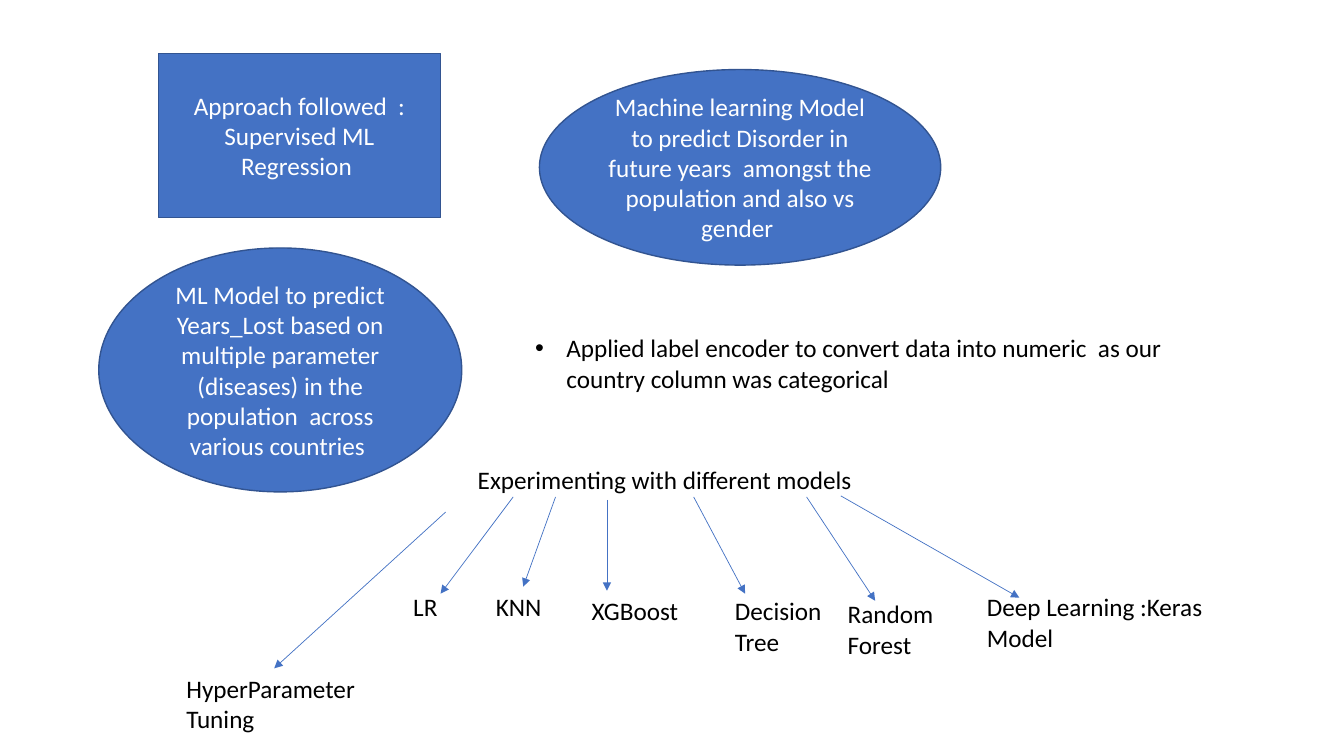
from lxml.etree import SubElement
from pptx import Presentation
from pptx.dml.color import RGBColor
from pptx.enum.shapes import MSO_CONNECTOR, MSO_SHAPE
from pptx.enum.text import MSO_ANCHOR, PP_ALIGN
from pptx.oxml.ns import qn
from pptx.util import Inches, Pt

BLUE, OUTLINE, WHITE, BLACK = "4472C4", "325491", "FFFFFF", "000000"

GOALS = [
    (MSO_SHAPE.OVAL, (0.98, 2.46, 3.6, 2.42),
     ["ML Model to predict Years_Lost based on multiple parameter (diseases) "
      "in the population  across various countries "]),
    (MSO_SHAPE.RECTANGLE, (1.57, 0.53, 2.8, 1.63),
     ["Approach followed  : Supervised ML", "Regression "]),
    (MSO_SHAPE.OVAL, (5.35, 0.69, 3.98, 1.94),
     ["Machine learning Model to predict Disorder in future years  amongst "
      "the population and also vs gender "]),
]
ENCODING = ("Applied label encoder to convert data into numeric  as our "
            "country column was categorical", (5.21, 3.25, 7.14, 1.01))
HEADING = ("Experimenting with different models", (4.64, 4.56, 6.74, 0.4))
MODELS = [
    ("HyperParameter Tuning", (1.75, 6.63, 1.93, 0.71), (4.42, 5.08), (2.72, 6.63)),
    ("LR", (4, 5.82, 0.68, 0.4), (5.09, 4.93), (4.37, 5.89)),
    ("KNN", (4.82, 5.82, 1.41, 0.4), (5.51, 4.93), (5.19, 5.82)),
    ("XGBoost", (5.77, 5.86, 1.08, 0.4), (6.02, 4.96), (6.02, 5.86)),
    ("Decision Tree", (7.19, 5.86, 1.12, 0.71), (6.88, 4.93), (7.39, 5.89)),
    ("Random Forest", (8.31, 5.89, 1.53, 0.71), (8, 4.93), (8.68, 5.96)),
    ("Deep Learning :Keras Model", (9.69, 5.82, 2.66, 0.71), (8.34, 4.92), (10.11, 5.93)),
]


def color(value):
    """Turn a hex string into a colour."""
    return RGBColor.from_string(value)


def write(shape, lines, ink, alignment=PP_ALIGN.LEFT):
    """Fill a shape with one paragraph per line."""
    frame = shape.text_frame
    frame.word_wrap = True
    for index, line in enumerate(lines):
        paragraph = frame.add_paragraph() if index else frame.paragraphs[0]
        paragraph.alignment = alignment
        run = paragraph.add_run()
        run.text = line
        run.font.name = "Calibri"
        run.font.size = Pt(18)
        run.font.color.rgb = color(ink)


def add_goal(slide, kind, box, lines):
    """Add a filled shape with centred white text."""
    shape = slide.shapes.add_shape(kind, *map(Inches, box))
    shape.shadow.inherit = False
    shape.fill.solid()
    shape.fill.fore_color.rgb = color(BLUE)
    shape.line.color.rgb = color(OUTLINE)
    shape.line.width = Pt(1)
    shape.text_frame.vertical_anchor = MSO_ANCHOR.MIDDLE
    write(shape, lines, WHITE, PP_ALIGN.CENTER)


def add_label(slide, text, box):
    """Add a plain black text box."""
    label = slide.shapes.add_textbox(*map(Inches, box))
    write(label, [text], BLACK)
    return label


def add_bullet(paragraph):
    """Give a paragraph a hanging round bullet."""
    properties = paragraph._p.get_or_add_pPr()
    properties.set("marL", str(Inches(0.31)))
    properties.set("indent", str(Inches(-0.31)))
    SubElement(properties, qn("a:buFont")).set("typeface", "Arial")
    SubElement(properties, qn("a:buChar")).set("char", "•")


def add_arrow(slide, start, end):
    """Add a thin arrow from start to end."""
    arrow = slide.shapes.add_connector(
        MSO_CONNECTOR.STRAIGHT, *map(Inches, start + end))
    arrow.line.color.rgb = color(BLUE)
    arrow.line.width = Pt(0.5)
    SubElement(arrow.line._get_or_add_ln(), qn("a:tailEnd")).set("type", "triangle")
    SubElement(arrow._element.spPr, qn("a:effectLst"))


def main():
    """Build and save the slide."""
    presentation = Presentation()
    presentation.slide_width = Inches(13.33)
    presentation.slide_height = Inches(7.5)
    slide = presentation.slides.add_slide(presentation.slide_layouts[6])
    for kind, box, lines in GOALS:
        add_goal(slide, kind, box, lines)
    encoding = add_label(slide, *ENCODING)
    add_bullet(encoding.text_frame.paragraphs[0])
    add_label(slide, *HEADING)
    for name, box, start, end in MODELS:
        add_label(slide, name, box)
        add_arrow(slide, start, end)
    presentation.save("out.pptx")


if __name__ == "__main__":
    main()
